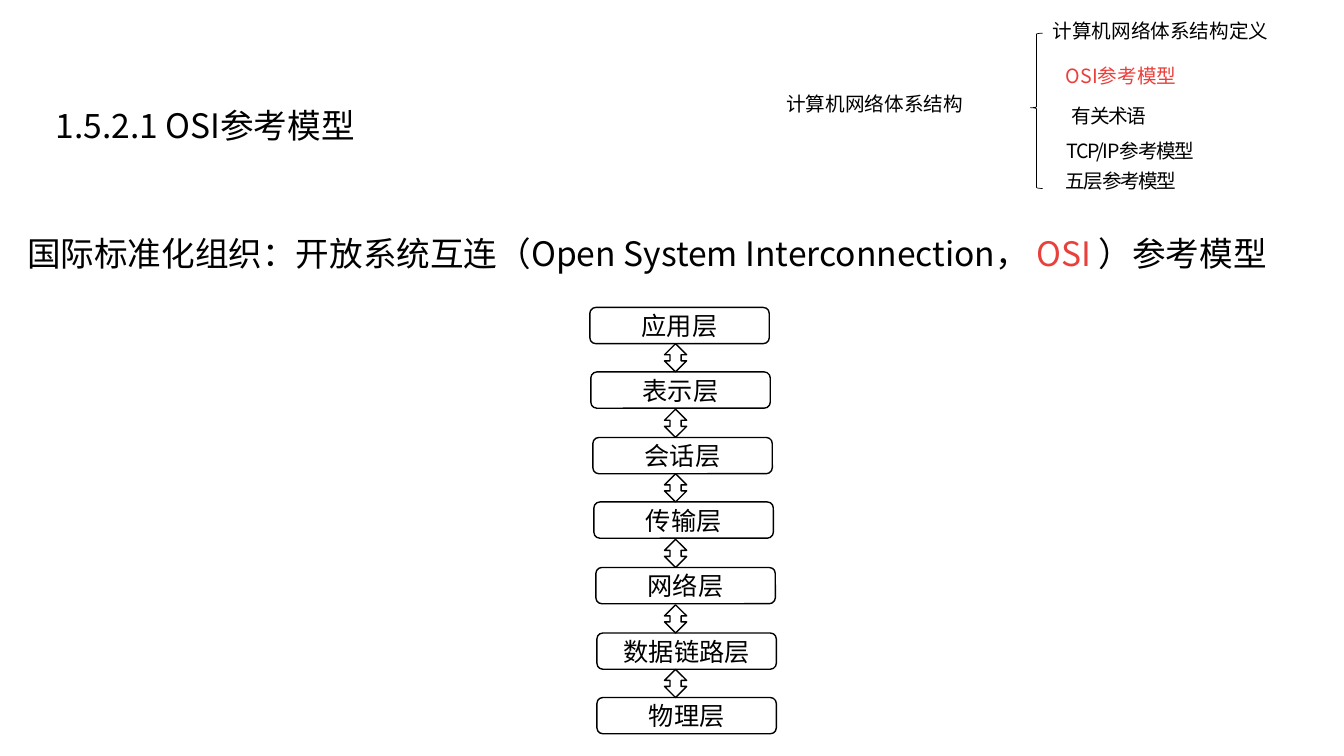
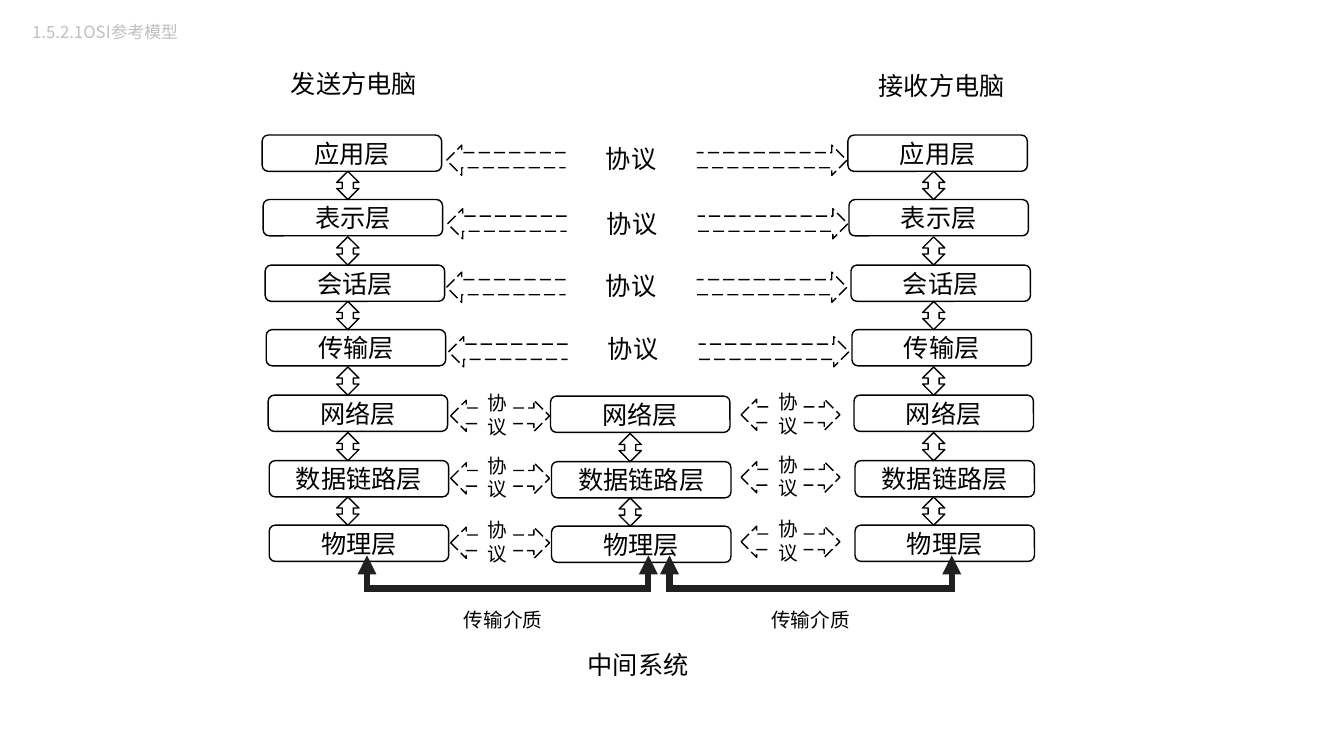
from lxml import etree
from pptx import Presentation
from pptx import util as u
from pptx.dml.color import RGBColor
from pptx.enum import dml, shapes, text
from pptx.oxml.ns import qn

# Shared style
BLACK = RGBColor(0x00, 0x00, 0x00)
WHITE = RGBColor(0xFF, 0xFF, 0xFF)
RED = RGBColor(0xE9, 0x40, 0x3C)
GREY = RGBColor(0xBF, 0xBF, 0xBF)
CABLE = RGBColor(0x20, 0x20, 0x20)
HEAD_FONT, BODY_FONT = "Noto Sans CJK SC", "Arial"
CENTER, LEFT = text.PP_ALIGN.CENTER, text.PP_ALIGN.LEFT
TOP, MIDDLE = text.MSO_ANCHOR.TOP, text.MSO_ANCHOR.MIDDLE
KIND = shapes.MSO_SHAPE

# Content: the model, top layer first
LAYERS = ["应用层", "表示层", "会话层", "传输层", "网络层", "数据链路层", "物理层"]
PROTOCOL, MEDIUM = "协议", "传输介质"

TITLE = "1.5.2.1 OSI参考模型"
HEADLINE = [("国际标准化组织：开放系统互连（Open System Interconnection，", BLACK),
            (" OSI ", RED), ("）参考模型", BLACK)]
OUTLINE_ROOT = "计算机网络体系结构"
OUTLINE_FIRST = "计算机网络体系结构定义"
OUTLINE = [  # wording, centre x, top, colour, letter spacing in points
    ("OSI参考模型", 11.12, 0.6, RED, 0),
    ("有关术语", 11.0, 0.99, BLACK, -1),
    ("TCP/IP参考模型", 11.21, 1.34, BLACK, -1),
    ("五层参考模型", 11.12, 1.64, BLACK, -1),
]
OUTLINE_W = 2.6

CORNER_TITLE = "1.5.2.1OSI参考模型"
CAPTIONS = [("发送方电脑", 3.51, 0.63), ("接收方电脑", 9.34, 0.65), ("中间系统", 6.33, 6.39)]
LONG_LINKS = [(4.43, 1.44, 1.37), (4.44, 2.07, 2.02), (4.43, 2.7, 2.63), (4.45, 3.34, 3.26)]
SHORT_LINK_X = [(4.47, 0), (7.35, -0.01)]  # left, shift up
SHORT_LINK_Y = [3.97, 4.59, 5.23]
CABLES = [(3.64, 6.43, 4.34), (6.64, 9.44, 7.39)]  # from, to, label left

# Layer stack grid
BOX_W, BOX_H, PITCH = 1.78, 0.36, 0.65
STEP_Y = [0, 0.64, 1.29, 1.93, 2.58, 3.23, 3.87]
DRIFT = [0, 0.01, 0.03, 0.04, 0.06, 0.07, 0.07]
ARROW_X, ARROW_W, ARROW_H = 0.74, 0.22, 0.28


def box(left, top, width, height):
    return [u.Inches(v) for v in (left, top, width, height)]


def write(shape, runs, size, font=BODY_FONT, align=CENTER, anchor=TOP, spacing=None, tracking=0):
    frame = shape.text_frame
    frame.word_wrap = True
    frame.vertical_anchor = anchor
    line = frame.paragraphs[0]
    line.alignment = align
    if spacing:
        line.line_spacing = spacing
    for wording, colour in runs:
        run = line.add_run()
        run.text = wording
        run.font.size = u.Pt(size)
        run.font.name = font
        run.font.color.rgb = colour
        props = run.font._element
        if tracking:
            props.set("spc", str(tracking * 100))
        etree.SubElement(props, qn("a:ea")).set("typeface", font)
    return frame


def label(slide, place, wording, size, colour=BLACK, **style):
    return write(slide.shapes.add_textbox(*box(*place)), [(wording, colour)], size, **style)


def outlined(slide, kind, place, weight=1, dash=None):
    shape = slide.shapes.add_shape(kind, *box(*place))
    shape.shadow.inherit = False
    shape.fill.background()
    shape.line.color.rgb = BLACK
    shape.line.width = u.Pt(weight)
    if dash:
        shape.line.dash_style = dash
    return shape


def plate(slide, place, wording, size, align=CENTER):
    """White label that hides what lies behind it."""
    shape = slide.shapes.add_shape(KIND.RECTANGLE, *box(*place))
    shape.shadow.inherit = False
    shape.fill.solid()
    shape.fill.fore_color.rgb = WHITE
    shape.line.fill.background()
    write(shape, [(wording, BLACK)], size, align=align)


def layer_stack(slide, left, top, first=0):
    for i in range(first, len(LAYERS)):
        y = top + STEP_Y[i]
        layer = outlined(slide, KIND.ROUNDED_RECTANGLE, (left + DRIFT[i], y, BOX_W, BOX_H))
        write(layer, [(LAYERS[i], BLACK)], 18, anchor=MIDDLE)
        if i > first:
            outlined(slide, KIND.UP_DOWN_ARROW,
                     (left + ARROW_X, y - ARROW_H, ARROW_W, ARROW_H))


def protocol_link(slide, left, top, width, height):
    outlined(slide, KIND.LEFT_RIGHT_ARROW, (left, top, width, height),
             dash=dml.MSO_LINE.LONG_DASH)


def cable(slide, start, end, top=5.51, bottom=5.84):
    points = [(start, top), (start, bottom), (end, bottom), (end, top)]
    points = [(u.Inches(x), u.Inches(y)) for x, y in points]
    path = slide.shapes.build_freeform(*points[0])
    path.add_line_segments(points[1:], close=False)
    wire = path.convert_to_shape()
    wire.shadow.inherit = False
    wire.fill.background()
    wire.line.color.rgb = CABLE
    wire.line.width = u.Pt(4.5)
    outline = wire.line._get_or_add_ln()
    etree.SubElement(outline, qn("a:miter")).set("lim", "800000")
    for tip in ("a:headEnd", "a:tailEnd"):
        etree.SubElement(outline, qn(tip)).set("type", "triangle")


def model_slide(slide):
    headline = slide.shapes.add_textbox(*box(0.17, 2.06, 12.83, 0.64))
    write(headline, HEADLINE, 24, HEAD_FONT, LEFT, spacing=1.5)
    title = label(slide, (0.43, 0.62, 6, 1.04), TITLE, 24, font=HEAD_FONT,
                  align=LEFT, anchor=MIDDLE, spacing=1.5)
    title.margin_left = title.margin_right = u.Inches(0.12)
    title.margin_top = title.margin_bottom = u.Inches(0.06)

    # Chapter outline, top right
    brace = outlined(slide, KIND.LEFT_BRACE, (10.22, 0.33, 0.12, 1.54), 0.5)
    brace.adjustments[0], brace.adjustments[1] = 0.08, 0.48
    label(slide, (7.7, 0.86, 3.38, 0.34), OUTLINE_ROOT, 14, font=HEAD_FONT, align=LEFT)
    label(slide, (10.34, 0.14, 2.99, 0.34), OUTLINE_FIRST, 14, align=LEFT)
    for wording, center, top, colour, tracking in OUTLINE:
        label(slide, (center - OUTLINE_W / 2, top, OUTLINE_W, 0.32), wording, 14, colour,
              font=HEAD_FONT, spacing=u.Pt(16), tracking=tracking)

    layer_stack(slide, 5.85, 3.05)


def exchange_slide(slide):
    layer_stack(slide, 8.41, 1.34)
    layer_stack(slide, 2.6, 1.34)

    # Protocols between the end systems
    for left, top, label_top in LONG_LINKS:
        protocol_link(slide, left, top, 3.97, 0.3)
        plate(slide, (left + 1.18, label_top, 1.3, 0.4), PROTOCOL, 18)

    # Middle system and its protocols
    layer_stack(slide, 5.4, 1.35, first=4)
    for left, shift in SHORT_LINK_X:
        for top in SHORT_LINK_Y:
            protocol_link(slide, left, top + shift, 0.98, 0.31)
            plate(slide, (left + 0.27, top + shift - 0.14, 0.35, 0.57), PROTOCOL, 14, LEFT)

    for wording, center, top in CAPTIONS:
        label(slide, (center - 0.85, top, 1.7, 0.4), wording, 18)
    for start, end, label_left in CABLES:
        cable(slide, start, end)
        plate(slide, (label_left, 5.98, 1.3, 0.34), MEDIUM, 14)
    label(slide, (0.22, 0.17, 2.53, 0.3), CORNER_TITLE, 12, GREY, font=HEAD_FONT, align=LEFT)


def main():
    deck = Presentation()
    deck.slide_width, deck.slide_height = u.Inches(13.33), u.Inches(7.5)
    for build in (model_slide, exchange_slide):
        build(deck.slides.add_slide(deck.slide_layouts[6]))
    deck.save("out.pptx")


if __name__ == "__main__":
    main()
